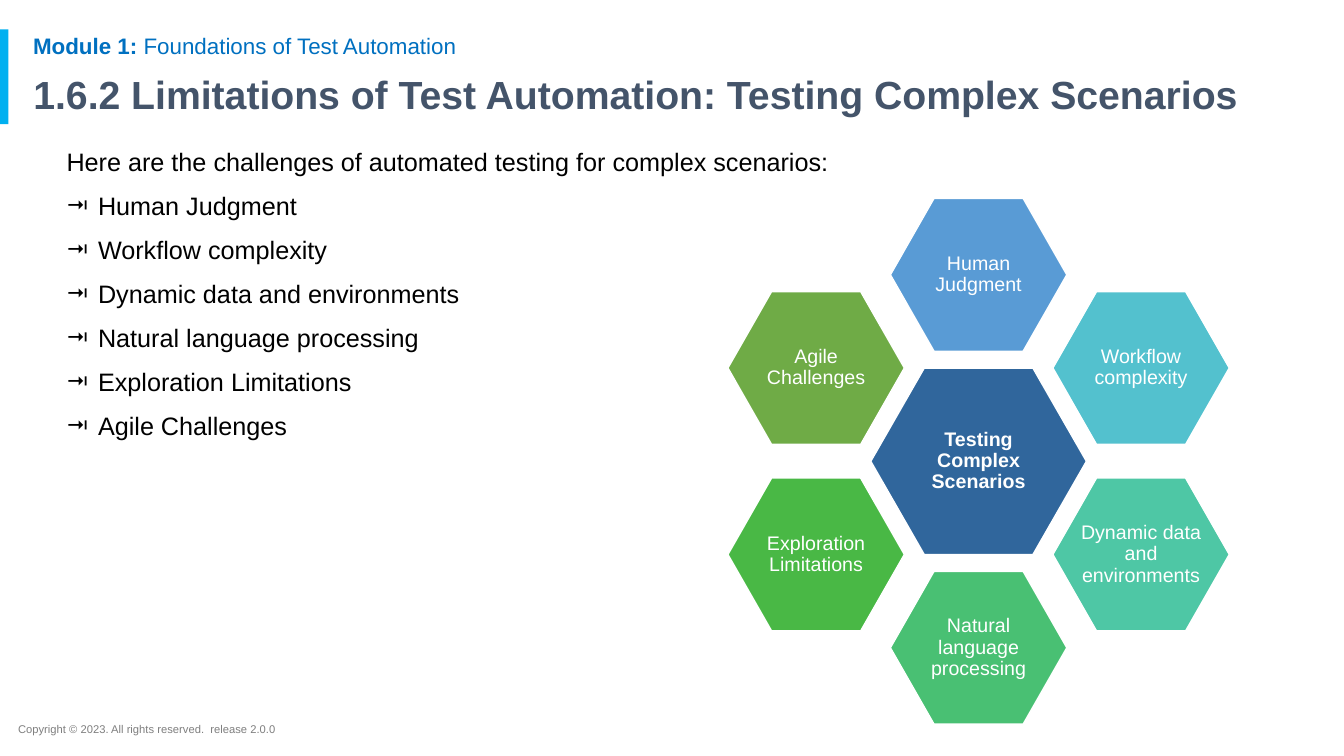
from dataclasses import dataclass
from math import cos, radians, sin

from lxml.etree import SubElement
from pptx import Presentation
from pptx.dml.color import RGBColor as Rgb
from pptx.enum.shapes import MSO_SHAPE as Shp
from pptx.enum.text import MSO_ANCHOR as Anchor
from pptx.enum.text import MSO_AUTO_SIZE as Auto
from pptx.enum.text import PP_ALIGN as Align
from pptx.oxml.ns import qn
from pptx.util import Pt


@dataclass(frozen=True)
class Theme:
    font: str = "Arial"
    accent: str = "00B0F0"
    module: str = "0070C0"
    title: str = "44546A"
    body: str = "000000"
    footer: str = "7F7F7F"
    white: str = "FFFFFF"
    title_size: float = 28
    body_size: float = 18
    module_size: float = 16
    hex_size: float = 14
    footer_size: float = 8


@dataclass(frozen=True)
class Box:
    x: float
    y: float
    w: float
    h: float


@dataclass(frozen=True)
class HexSize:
    w: float
    h: float
    notch: float
    pad_x: float
    pad_y: float


@dataclass(frozen=True)
class Challenge:
    text: str
    fill: str


TH = Theme()
CENTER_X, CENTER_Y = 699, 329.5
RING_X, RING_Y = 134, 133.2
HUB = HexSize(154, 133.2, 38.2, 23.8, 20.9)
PETAL = HexSize(126, 109.2, 31.2, 19.4, 17.3)
CHALLENGES = [
    Challenge("Human Judgment", "599BD5"),
    Challenge("Workflow complexity", "53C1CE"),
    Challenge("Dynamic data and environments", "4EC7A5"),
    Challenge("Natural language processing", "49C073"),
    Challenge("Exploration Limitations", "49B845"),
    Challenge("Agile Challenges", "6FAB46"),
]


def set_attrs(obj, values: dict) -> None:
    for name, value in values.items():
        setattr(obj, name, value)


def place(sp, box: Box) -> None:
    set_attrs(sp, {"left": Pt(box.x), "top": Pt(box.y),
                   "width": Pt(box.w), "height": Pt(box.h)})


def format_frame(tf, anchor, pad_x: float = 7.2, pad_y: float = 3.6) -> None:
    set_attrs(tf, {
        "word_wrap": True, "auto_size": Auto.NONE, "vertical_anchor": anchor,
        "margin_left": Pt(pad_x), "margin_right": Pt(pad_x),
        "margin_top": Pt(pad_y), "margin_bottom": Pt(pad_y),
    })


def format_para(p, align=Align.LEFT, line: float = 0.9, before: float = 0) -> None:
    set_attrs(p, {"alignment": align, "line_spacing": line,
                  "space_before": Pt(before), "space_after": Pt(0)})


def add_run(p, text: str, size: float, color: str, bold: bool = False) -> None:
    r = p.add_run()
    r.text = text
    set_attrs(r.font, {"name": TH.font, "size": Pt(size), "bold": bold})
    r.font.color.rgb = Rgb.from_string(color)


def set_bullet(p, char: str = "", indent: float = 0) -> None:
    pPr = p._p.get_or_add_pPr()
    pPr.set("marL", str(Pt(indent)))
    pPr.set("indent", str(-Pt(indent)))
    if not char:
        SubElement(pPr, qn("a:buNone"))
        return
    clr = SubElement(pPr, qn("a:buClr"))
    SubElement(clr, qn("a:srgbClr")).set("val", TH.body)
    SubElement(pPr, qn("a:buFont")).set("typeface", TH.font)
    SubElement(pPr, qn("a:buChar")).set("char", char)


def paint(sp, fill: str) -> None:
    sp.shadow.inherit = False
    sp.fill.solid()
    sp.fill.fore_color.rgb = Rgb.from_string(fill)


def add_label(s, box: Box):
    sp = s.shapes.add_textbox(Pt(box.x), Pt(box.y), Pt(box.w), Pt(box.h))
    format_frame(sp.text_frame, Anchor.TOP)
    return sp.text_frame.paragraphs[0]


def add_hexagon(s, cx: float, cy: float, size: HexSize,
                item: Challenge, bold: bool = False) -> None:
    half_w, half_h = size.w / 2, size.h / 2
    flat = half_w - size.notch
    points = [(-half_w, 0), (-flat, -half_h), (flat, -half_h),
              (half_w, 0), (flat, half_h), (-flat, half_h)]
    corners = [(Pt(cx + x), Pt(cy + y)) for x, y in points]
    fb = s.shapes.build_freeform(*corners[0])
    fb.add_line_segments(corners[1:], close=True)
    sp = fb.convert_to_shape()
    paint(sp, item.fill)
    sp.line.color.rgb = Rgb.from_string(TH.white)
    sp.line.width = Pt(1)
    format_frame(sp.text_frame, Anchor.MIDDLE, size.pad_x, size.pad_y)
    p = sp.text_frame.paragraphs[0]
    format_para(p, Align.CENTER)
    add_run(p, item.text, TH.hex_size, TH.white, bold)


def add_header(s) -> None:
    bar = s.shapes.add_shape(Shp.RECTANGLE, 0, Pt(21), Pt(6), Pt(67.7))
    paint(bar, TH.accent)
    bar.line.fill.background()

    p = add_label(s, Box(16.6, 21.6, 828, 23.8))
    format_para(p)
    add_run(p, "Module 1:", TH.module_size, TH.module, True)
    add_run(p, " Foundations of Test Automation", TH.module_size, TH.module)

    title = s.shapes.title
    place(title, Box(16.6, 49.7, 916.6, 38.9))
    format_frame(title.text_frame, Anchor.MIDDLE)
    p = title.text_frame.paragraphs[0]
    format_para(p)
    add_run(p, "1.6.2 Limitations of Test Automation: Testing Complex Scenarios",
            TH.title_size, TH.title, True)


def add_body(s) -> None:
    body = s.placeholders[1]
    place(body, Box(40.3, 103, 809.3, 380.9))
    tf = body.text_frame
    format_frame(tf, Anchor.TOP)
    p = tf.paragraphs[0]
    set_bullet(p)
    format_para(p)
    add_run(p, "Here are the challenges of automated testing for complex scenarios:",
            TH.body_size, TH.body)
    for item in CHALLENGES:
        p = tf.add_paragraph()
        p.level = 1
        set_bullet(p, "⭲", 22.5)
        format_para(p, before=12)
        add_run(p, item.text, TH.body_size, TH.body)


def add_diagram(s) -> None:
    hub = Challenge("Testing Complex Scenarios", "30669C")
    add_hexagon(s, CENTER_X, CENTER_Y, HUB, hub, bold=True)
    for i, item in enumerate(CHALLENGES):
        angle = radians(i * 360 / len(CHALLENGES))
        add_hexagon(s, CENTER_X + RING_X * sin(angle),
                    CENTER_Y - RING_Y * cos(angle), PETAL, item)


def main() -> None:
    prs = Presentation()
    set_attrs(prs, {"slide_width": Pt(960), "slide_height": Pt(540)})
    s = prs.slides.add_slide(prs.slide_layouts[1])
    add_header(s)
    add_body(s)
    add_diagram(s)
    p = add_label(s, Box(5.8, 512.6, 513.4, 17.3))
    format_para(p, line=1.0)
    add_run(p, "Copyright © 2023. All rights reserved.  release 2.0.0",
            TH.footer_size, TH.footer)
    prs.save("out.pptx")


if __name__ == "__main__":
    main()
